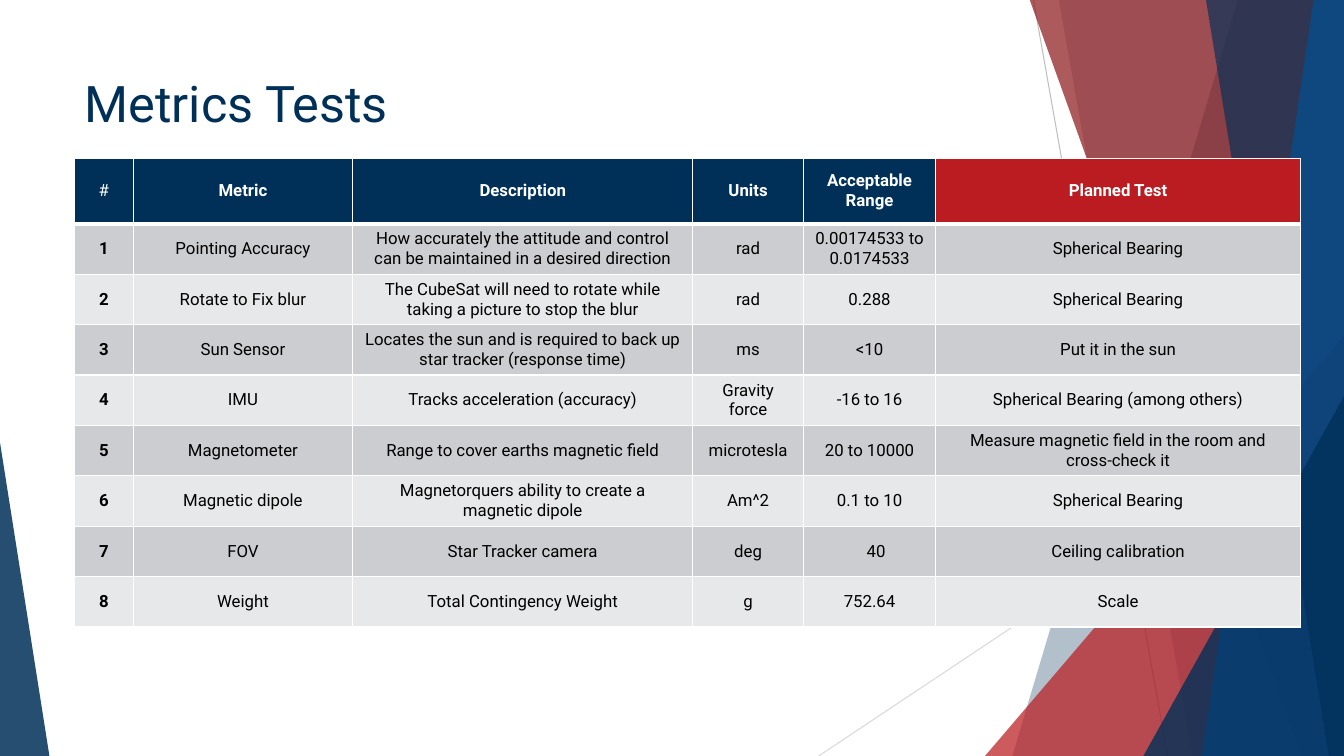
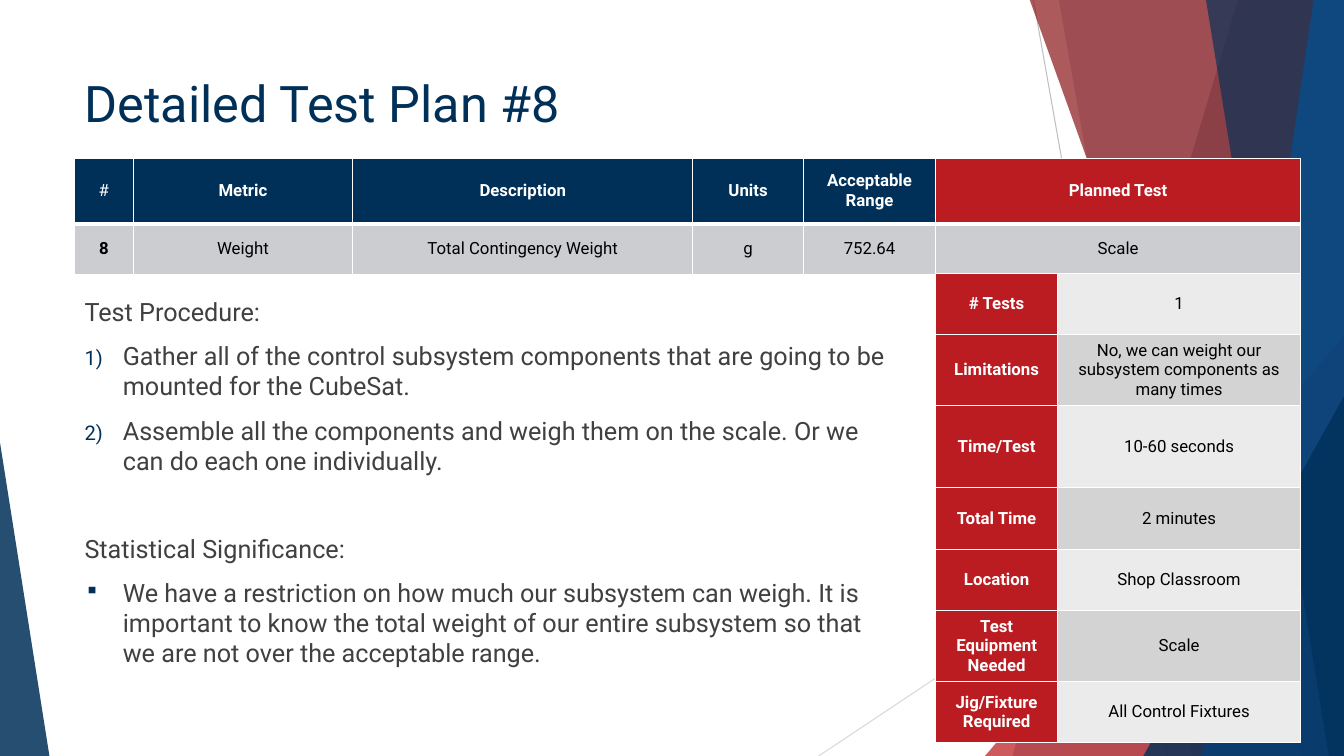
import dataclasses

import lxml.etree
import pptx
import pptx.dml.color
import pptx.enum.shapes
import pptx.enum.text
import pptx.oxml.ns
import pptx.util

Inches = pptx.util.Inches
Pt = pptx.util.Pt
qn = pptx.oxml.ns.qn
Shape = pptx.enum.shapes.MSO_SHAPE
Align = pptx.enum.text.PP_ALIGN
Anchor = pptx.enum.text.MSO_ANCHOR


@dataclasses.dataclass(frozen=True)
class Theme:
    font: str = "Roboto"
    navy: str = "003058"
    red: str = "BA1C21"
    dark_red: str = "8B1519"
    blue: str = "028CFF"
    white: str = "FFFFFF"
    black: str = "000000"
    body: str = "404040"
    line: str = "BFBFBF"
    pale_line: str = "D9D9D9"
    metric_bands: tuple = ("CCCDD1", "E7E8EA")
    detail_bands: tuple = ("EBEBEB", "D3D3D3")
    title_size: int = 36
    body_size: int = 18
    table_size: int = 12


@dataclasses.dataclass(frozen=True)
class Box:
    left: float
    top: float
    width: float
    height: float

    def inches(self):
        return [Inches(v) for v in (self.left, self.top, self.width, self.height)]


THEME = Theme()
PAGE = Box(0, 0, 13.33, 7.5)
TITLE = Box(0.74, 0.67, 9.4, 1.44)
METRICS = Box(0.74, 1.57, 12.16, 4.64)
PROCEDURE = Box(0.74, 2.89, 8.14, 4.48)
DETAILS = Box(9.28, 2.71, 3.62, 4.48)

METRIC_COLUMNS = (0.58, 2.18, 3.37, 1.1, 1.31, 3.62)
HEADINGS = ("#", "Metric", "Description", "Units", "Acceptable\nRange", "Planned Test")
METRIC_ROWS = (
    ("1", "Pointing Accuracy",
     "How accurately the attitude and control can be maintained in a desired direction",
     "rad", "0.00174533 to 0.0174533", "Spherical Bearing"),
    ("2", "Rotate to Fix blur",
     "The CubeSat will need to rotate while taking a picture to stop the blur",
     "rad", "0.288", "Spherical Bearing"),
    ("3", "Sun Sensor",
     "Locates the sun and is required to back up star tracker (response time)",
     "ms", "<10", "Put it in the sun"),
    ("4", "IMU", "Tracks acceleration (accuracy)",
     "Gravity force", "-16 to 16", "Spherical Bearing (among others)"),
    ("5", "Magnetometer", "Range to cover earths magnetic field",
     "microtesla", "20 to 10000", "Measure magnetic field in the room and cross-check it"),
    ("6", "Magnetic dipole", "Magnetorquers ability to create a magnetic dipole",
     "Am^2", "0.1 to 10", "Spherical Bearing"),
    ("7", "FOV", "Star Tracker camera", "deg", "40", "Ceiling calibration"),
    ("8", "Weight", "Total Contingency Weight", "g", "752.64", "Scale"),
)
DETAIL_COLUMNS = (1.21, 2.41)
DETAIL_HEIGHTS = (0.61, 0.61, 0.82, 0.61, 0.61, 0.61, 0.61)
DETAIL_ROWS = (
    ("# Tests", "1"),
    ("Limitations", "No, we can weight our subsystem components as many times"),
    ("Time/Test", "10-60 seconds"),
    ("Total Time", "2 minutes"),
    ("Location", "Shop Classroom"),
    ("Test\nEquipment\nNeeded", "Scale"),
    ("Jig/Fixture\nRequired", "All Control Fixtures"),
)
# Text, list marker and space before, in points
PROCEDURE_TEXT = (
    ("Test Procedure:", None, 0),
    ("Gather all of the control subsystem components that are going to be mounted "
     "for the CubeSat.", "number", 10),
    ("Assemble all the components and weigh them on the scale. Or we can do each "
     "one individually.", "number", 10),
    ("Statistical Significance:", None, 41),
    ("We have a restriction on how much our subsystem can weigh. It is important to "
     "know the total weight of our entire subsystem so that we are not over the "
     "acceptable range.", "▪", 10),
)


def rgb(color):
    return pptx.dml.color.RGBColor.from_string(color)


def add_child(parent, tag, **attributes):
    return lxml.etree.SubElement(parent, qn(tag), attributes)


def add_marker(para, marker):
    """Give a paragraph a number or a bullet with a hanging indent."""
    properties = para._p.get_or_add_pPr()
    indent = Inches(0.38)
    properties.set("marL", str(indent))
    properties.set("indent", str(-indent))
    add_child(add_child(properties, "a:buClr"), "a:srgbClr", val=THEME.navy)
    add_child(properties, "a:buSzPct", val="80000")
    if marker == "number":
        add_child(properties, "a:buAutoNum", type="arabicParenR")
    else:
        add_child(properties, "a:buChar", char=marker)


def write(frame, text, *, size, color, bold=False, align=Align.LEFT,
          before=0, marker=None, extend=False):
    """Write text into a frame, one paragraph for each line."""
    for index, line in enumerate(text.split("\n")):
        para = frame.add_paragraph() if extend or index else frame.paragraphs[0]
        if marker:
            add_marker(para, marker)
        para.alignment = align
        para.space_before = Pt(before)
        span = para.add_run()
        span.text = line
        span.font.name = THEME.font
        span.font.size = Pt(size)
        span.font.bold = bold
        span.font.color.rgb = rgb(color)


def paint(shape, color, opacity):
    """Flat, partly transparent fill without outline or shadow."""
    shape.shadow.inherit = False
    shape.line.fill.background()
    shape.fill.solid()
    shape.fill.fore_color.rgb = rgb(color)
    for node in shape.element.spPr.iter(qn("a:srgbClr")):
        add_child(node, "a:alpha", val=str(opacity * 1000))


def add_ray(page, box, start, end, color):
    points = [Inches(v) for x, y in (start, end) for v in (box.left + x, box.top + y)]
    ray = page.shapes.add_connector(pptx.enum.shapes.MSO_CONNECTOR.STRAIGHT, *points)
    ray.line.color.rgb = rgb(color)
    ray.line.width = Pt(0.75)
    add_child(ray.element.spPr, "a:effectLst")
    return ray


def add_shard(page, box, top_x, bottom_x, color, opacity):
    """Full-height band from a slanted left edge to the right side of the box."""
    outline = [(top_x, -0.01), (box.width, -0.01), (box.width, box.height),
               (bottom_x, box.height)]
    points = [(Inches(box.left + x), Inches(box.top + y)) for x, y in outline]
    builder = page.shapes.build_freeform(*points[0])
    builder.add_line_segments(points[1:], close=True)
    shard = builder.convert_to_shape()
    paint(shard, color, opacity)
    return shard


def add_corner(page, box, width, height, apex, color, opacity):
    """Right triangle in a bottom corner: apex 0 is left, 1 is right."""
    area = Box(box.left + apex * (box.width - width), box.top + box.height - height,
               width, height)
    corner = page.shapes.add_shape(Shape.ISOSCELES_TRIANGLE, *area.inches())
    corner.adjustments[0] = apex
    paint(corner, color, opacity)
    return corner


def add_backdrop(page, layout, box):
    """Draw the shared decoration and hand it to the layout."""
    pieces = (
        add_ray(page, box, (10.25, 0), (11.58, 7.5), THEME.line),
        add_ray(page, box, (13.33, 4.03), (8.12, 7.5), THEME.pale_line),
        add_shard(page, box, 12.28, 10.04, THEME.navy, 30),
        add_shard(page, box, 10.5, 11.83, THEME.navy, 20),
        add_corner(page, box, 3.56, 4.17, 1, THEME.red, 72),
        add_shard(page, box, 10.21, 12.91, THEME.dark_red, 70),
        add_shard(page, box, 13.03, 11.92, THEME.blue, 70),
        add_shard(page, box, 11.96, 13.18, THEME.navy, 65),
        add_corner(page, box, 1.99, 3.57, 1, THEME.navy, 80),
        add_corner(page, box, 0.49, 3.11, 0, THEME.navy, 85),
    )
    for piece in pieces:
        layout.shapes.element.append(piece.element)


def add_title(page, box, text):
    title = page.shapes.title
    title.left, title.top, title.width, title.height = box.inches()
    frame = title.text_frame
    frame.word_wrap = True
    frame.auto_size = pptx.enum.text.MSO_AUTO_SIZE.NONE
    frame.vertical_anchor = Anchor.TOP
    write(frame, text, size=THEME.title_size, color=THEME.navy)


def format_cell(cell, text, fill, color, bold, top=1, bottom=1):
    """Centred text, white borders (widths in points) and a plain fill."""
    properties = cell._tc.get_or_add_tcPr()
    for side, width in (("L", 1), ("R", 1), ("T", top), ("B", bottom)):
        border = add_child(properties, f"a:ln{side}", w=str(Pt(width)))
        add_child(add_child(border, "a:solidFill"), "a:srgbClr", val=THEME.white)
    cell.fill.solid()
    cell.fill.fore_color.rgb = rgb(fill)
    cell.vertical_anchor = Anchor.MIDDLE
    write(cell.text_frame, text, size=THEME.table_size, color=color, bold=bold,
          align=Align.CENTER)


def add_grid(page, box, widths, heights):
    table = page.shapes.add_table(len(heights), len(widths), *box.inches()).table
    table.first_row = False
    table.horz_banding = False
    for column, width in zip(table.columns, widths):
        column.width = Inches(width)
    for row, height in zip(table.rows, heights):
        row.height = Inches(height)
    return table


def add_metric_table(page, box, rows):
    heights = [0.65] + [0.5] * len(rows)
    area = dataclasses.replace(box, height=sum(heights))
    table = add_grid(page, area, METRIC_COLUMNS, heights)
    # Heading row, its last cell in red
    for col, text in enumerate(HEADINGS):
        fill = THEME.red if text == HEADINGS[-1] else THEME.navy
        format_cell(table.cell(0, col), text, fill, THEME.white, col > 0, bottom=3)
    # Banded rows with a bold number
    for row, texts in enumerate(rows, 1):
        fill = THEME.metric_bands[(row - 1) % 2]
        for col, text in enumerate(texts):
            format_cell(table.cell(row, col), text, fill, THEME.black, col == 0,
                        top=3 if row == 1 else 1)
    return table


def add_detail_table(page, box):
    table = add_grid(page, box, DETAIL_COLUMNS, DETAIL_HEIGHTS)
    for row, (label, value) in enumerate(DETAIL_ROWS):
        format_cell(table.cell(row, 0), label, THEME.red, THEME.white, True)
        format_cell(table.cell(row, 1), value, THEME.detail_bands[row % 2],
                    THEME.black, False)


def add_procedure(page, box):
    frame = page.shapes.add_textbox(*box.inches()).text_frame
    frame.word_wrap = True
    for index, (text, marker, before) in enumerate(PROCEDURE_TEXT):
        write(frame, text, size=THEME.body_size, color=THEME.body, before=before,
              marker=marker, extend=index > 0)


def build_metrics_page(page):
    add_title(page, TITLE, "Metrics Tests")
    table = add_metric_table(page, METRICS, METRIC_ROWS)
    # The field-of-view value sits slightly right of centre
    table.cell(7, 4).margin_left = Inches(0.23)


def build_plan_page(page):
    add_title(page, TITLE, "Detailed Test Plan #8")
    add_procedure(page, PROCEDURE)
    add_metric_table(page, METRICS, METRIC_ROWS[-1:])
    add_detail_table(page, DETAILS)


def main():
    deck = pptx.Presentation()
    deck.slide_width, deck.slide_height = Inches(PAGE.width), Inches(PAGE.height)
    layout = deck.slide_layouts[5]
    pages = [deck.slides.add_slide(layout) for _ in range(2)]
    add_backdrop(pages[0], layout, PAGE)
    build_metrics_page(pages[0])
    build_plan_page(pages[1])
    deck.save("out.pptx")


if __name__ == "__main__":
    main()
